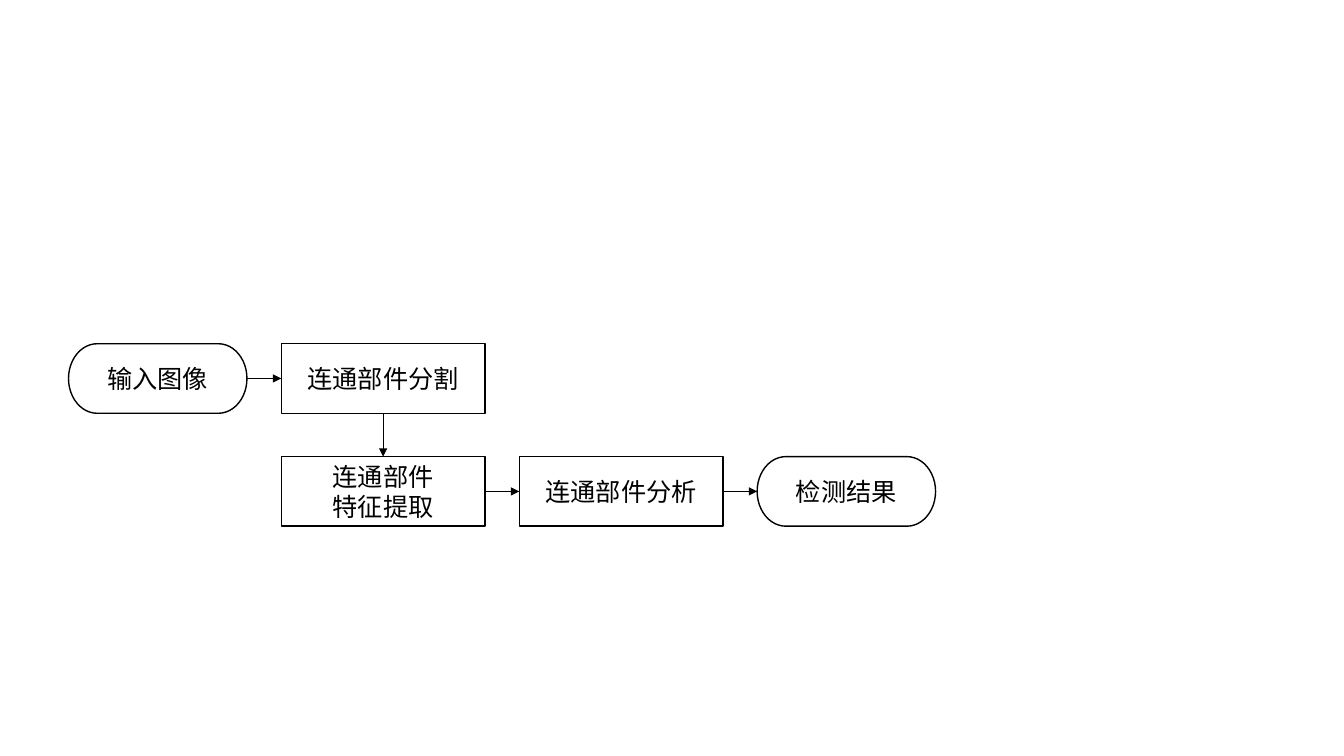
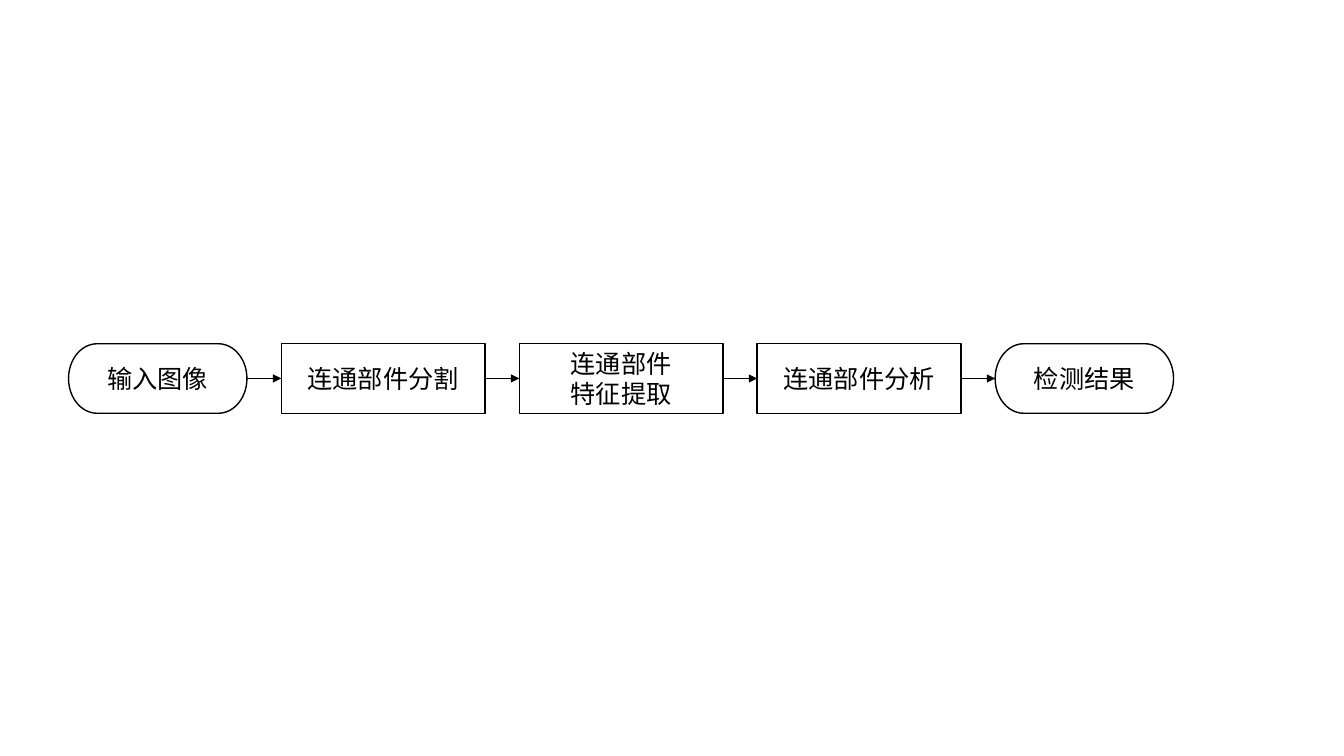
from lxml import etree
from pptx import Presentation
from pptx.dml.color import RGBColor
from pptx.enum.shapes import MSO_CONNECTOR, MSO_SHAPE
from pptx.enum.text import MSO_ANCHOR, PP_ALIGN
from pptx.oxml.ns import qn
from pptx.util import Inches, Pt

END = MSO_SHAPE.FLOWCHART_TERMINATOR
STEP = MSO_SHAPE.FLOWCHART_PROCESS
LINE = MSO_CONNECTOR.STRAIGHT
MIDDLE = MSO_ANCHOR.MIDDLE
CENTER = PP_ALIGN.CENTER
TOP, LEFT, BOTTOM, RIGHT = range(4)

FONT, SIZE = "Noto Sans CJK SC", 18
INK, PAPER = "000000", "FFFFFF"
FLOW = [
    (END, "输入图像"),
    (STEP, "连通部件分割"),
    (STEP, "连通部件\n特征提取"),
    (STEP, "连通部件分析"),
    (END, "检测结果"),
]
SLIDES = [
    [(0, 0), (1, 0), (1, 1), (2, 1), (3, 1)],
    [(0, 0), (1, 0), (2, 0), (3, 0), (4, 0)],
]
WIDTH = {END: 1.77, STEP: 2.02}
HEIGHT, GAP, DROP = 0.69, 0.34, 1.12
X, Y = 0.68, 3.41
FRAME = {"word_wrap": True, "vertical_anchor": MIDDLE, "margin_top": 0,
         "margin_bottom": 0, "margin_left": 0, "margin_right": 0}
TYPE = {"name": FONT, "size": Pt(SIZE)}


def style(item, values):
    for key, value in values.items():
        setattr(item, key, value)


def color(code):
    return RGBColor.from_string(code)


def stroke(line, width):
    line.width = Pt(width)
    line.color.rgb = color(INK)


def left(col):
    if col == 0:
        return X
    return X + WIDTH[END] + GAP + (col - 1) * (WIDTH[STEP] + GAP)


def node(slide, kind, text, col, row):
    box = slide.shapes.add_shape(
        kind, Inches(left(col)), Inches(Y + row * DROP),
        Inches(WIDTH[kind]), Inches(HEIGHT))
    box.shadow.inherit = False
    box.fill.solid()
    box.fill.fore_color.rgb = color(PAPER)
    stroke(box.line, 1)
    frame = box.text_frame
    style(frame, FRAME)
    frame.text = text
    for para in frame.paragraphs:
        para.alignment = CENTER
        for run in para.runs:
            style(run.font, TYPE)
            run.font.color.rgb = color(INK)
            east = etree.SubElement(run.font._element, qn("a:ea"))
            east.set("typeface", FONT)
    return box


def arrow(slide, start, stop):
    down = stop.top > start.top
    link = slide.shapes.add_connector(LINE, 0, 0, 0, 0)
    link.begin_connect(start, BOTTOM if down else RIGHT)
    link.end_connect(stop, TOP if down else LEFT)
    stroke(link.line, 0.5)
    tail = etree.SubElement(link.line._get_or_add_ln(), qn("a:tailEnd"))
    tail.set("type", "triangle")
    etree.SubElement(link._element.spPr, qn("a:effectLst"))


deck = Presentation()
deck.slide_width, deck.slide_height = Inches(13.33), Inches(7.5)
blank = deck.slide_layouts[6]
for cells in SLIDES:
    slide = deck.slides.add_slide(blank)
    boxes = [node(slide, *item, *cell) for item, cell in zip(FLOW, cells)]
    for start, stop in zip(boxes, boxes[1:]):
        arrow(slide, start, stop)
deck.save("out.pptx")
